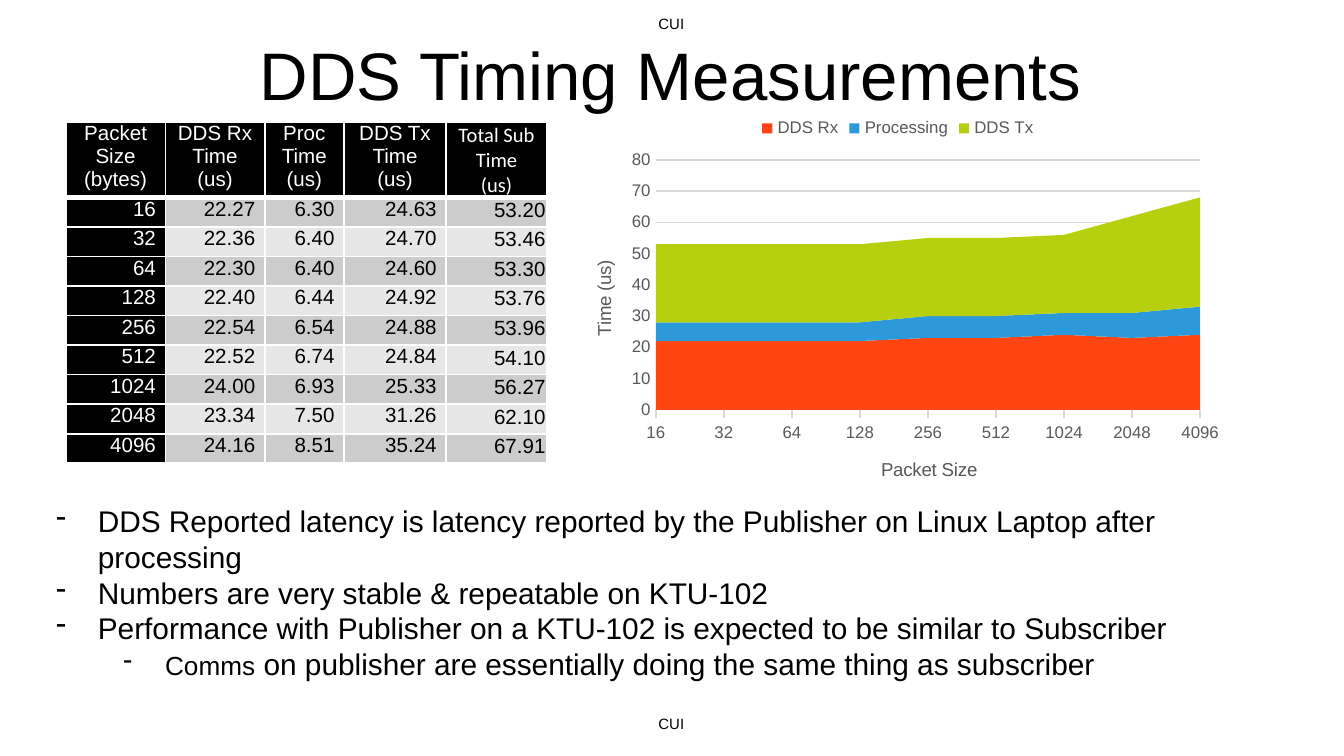
from dataclasses import dataclass

from lxml import etree
from pptx import Presentation
from pptx.chart.data import CategoryChartData
from pptx.dml.color import RGBColor
from pptx.enum import chart as ce, text
from pptx.oxml.ns import qn
from pptx.util import Inches, Pt

COLORS = {
    "black": "000000", "white": "FFFFFF", "band_dark": "CCCCCC", "band_light": "E7E7E7",
    "grid": "D9D9D9", "axis": "595959", "rx": "FF4612", "proc": "2C9ADA", "tx": "B6D00F",
}
FONT = "Arial"
ALIGN = text.PP_ALIGN


@dataclass
class Timing:
    size: int
    rx: float
    proc: float
    tx: float
    total: float


@dataclass
class Bullet:
    runs: list[tuple[str, int]]
    level: int = 0


@dataclass
class Series:
    name: str
    field: str


HEADERS = ["Packet Size (bytes)", "DDS Rx Time (us)", "Proc Time (us)",
           "DDS Tx Time (us)", "Total Sub Time\n(us)"]
COL_WIDTHS = [0.74, 0.74, 0.59, 0.76, 0.75]
TIMINGS = [
    Timing(16, 22.27, 6.30, 24.63, 53.20),
    Timing(32, 22.36, 6.40, 24.70, 53.46),
    Timing(64, 22.30, 6.40, 24.60, 53.30),
    Timing(128, 22.40, 6.44, 24.92, 53.76),
    Timing(256, 22.54, 6.54, 24.88, 53.96),
    Timing(512, 22.52, 6.74, 24.84, 54.10),
    Timing(1024, 24.00, 6.93, 25.33, 56.27),
    Timing(2048, 23.34, 7.50, 31.26, 62.10),
    Timing(4096, 24.16, 8.51, 35.24, 67.91),
]
SERIES = [Series("DDS Rx", "rx"), Series("Processing", "proc"), Series("DDS Tx", "tx")]
BULLETS = [
    Bullet([("DDS Reported latency is latency reported by the Publisher on Linux Laptop "
             "after processing", 16)]),
    Bullet([("Numbers are very stable & repeatable on KTU-102", 16)]),
    Bullet([("Performance with Publisher on a KTU-102 is expected to be similar to "
             "Subscriber", 16)]),
    Bullet([("Comms", 14), (" on publisher are essentially doing the same thing as "
                            "subscriber", 16)], level=1),
]


def rgb(name: str) -> RGBColor:
    return RGBColor.from_string(COLORS[name])


def style(font, size: float, color: str = "black", name: str = FONT) -> None:
    font.size, font.name, font.bold = Pt(size), name, False
    font.color.rgb = rgb(color)


def write(tf, content: str, *, size: float, color: str = "black", name: str = FONT,
          align=ALIGN.CENTER) -> None:
    """Fill a text frame, one paragraph per line of content."""
    for i, line in enumerate(content.split("\n")):
        p = tf.paragraphs[0] if i == 0 else tf.add_paragraph()
        p.alignment = align
        r = p.add_run()
        r.text = line
        style(r.font, size, color, name)


def add_marking(slide, top: float) -> None:
    sp = slide.shapes.add_textbox(Inches(4.8), Inches(top), Inches(0.39), Inches(0.24))
    sp.text_frame.word_wrap = False
    write(sp.text_frame, "CUI", size=8)


def set_borders(cell, bottom: float) -> None:
    tc_pr = cell._tc.get_or_add_tcPr()
    for i, (side, width) in enumerate([("L", 1), ("R", 1), ("T", 1), ("B", bottom)]):
        ln = etree.Element(qn(f"a:ln{side}"), w=str(Pt(width)))
        fill = etree.SubElement(ln, qn("a:solidFill"))
        etree.SubElement(fill, qn("a:srgbClr"), val=COLORS["white"])
        tc_pr.insert(i, ln)


def add_table(slide) -> None:
    rows = [HEADERS] + [
        [str(t.size)] + [f"{v:.2f}" for v in (t.rx, t.proc, t.tx, t.total)] for t in TIMINGS
    ]
    frame = slide.shapes.add_table(len(rows), len(HEADERS), Inches(0.49), Inches(0.91),
                                   Inches(sum(COL_WIDTHS)), Inches(2.53))
    table = frame.table
    for col, width in zip(table.columns, COL_WIDTHS):
        col.width = Inches(width)
    for i, values in enumerate(rows):
        table.rows[i].height = Inches(0.22 if i else 0.56)
        for j, value in enumerate(values):
            cell = table.cell(i, j)
            dark = i == 0 or j == 0
            total = j == len(HEADERS) - 1
            tight = total and i > 0
            cell.margin_left = cell.margin_right = Inches(0.01 if tight else 0.07)
            cell.margin_top, cell.margin_bottom = Inches(0.01 if tight else 0), 0
            cell.fill.solid()
            cell.fill.fore_color.rgb = rgb(
                "black" if dark else "band_dark" if i % 2 else "band_light")
            set_borders(cell, bottom=1 if i else 3)
            write(cell.text_frame, value, size=11, color="white" if dark else "black",
                  name="Calibri" if total and i == 0 else FONT,
                  align=ALIGN.RIGHT if i else ALIGN.CENTER)


def place(parent, index: int, **fractions: float) -> None:
    """Give a chart part a manual layout in fractions of the chart."""
    for old in parent.findall(qn("c:layout")):
        parent.remove(old)
    layout = etree.Element(qn("c:layout"))
    manual = etree.SubElement(layout, qn("c:manualLayout"))
    if "w" in fractions:
        etree.SubElement(manual, qn("c:layoutTarget"), val="inner")
    for key in ("x", "y"):
        etree.SubElement(manual, qn(f"c:{key}Mode"), val="edge")
    for key, value in fractions.items():
        etree.SubElement(manual, qn(f"c:{key}"), val=str(value))
    parent.insert(index, layout)


def format_axis(axis, title: str, x: float, y: float) -> None:
    write(axis.axis_title.text_frame, title, size=10, color="axis")
    place(axis.axis_title._element, 1, x=x, y=y)
    style(axis.tick_labels.font, 9, "axis")
    axis.minor_tick_mark = ce.XL_TICK_MARK.NONE


def add_chart(slide) -> None:
    data = CategoryChartData(number_format="0")
    data.categories = [str(t.size) for t in TIMINGS]
    for s in SERIES:
        data.add_series(s.name, [round(getattr(t, s.field)) for t in TIMINGS])
    chart = slide.shapes.add_chart(ce.XL_CHART_TYPE.AREA_STACKED, Inches(4.18), Inches(0.77),
                                   Inches(5), Inches(3), data).chart
    style(chart.font, 10)
    chart.has_title = False
    chart.has_legend = True
    chart.legend.position = ce.XL_LEGEND_POSITION.TOP
    chart.legend.include_in_layout = False
    style(chart.legend.font, 9, "axis")
    chart.plots[0].vary_by_categories = False
    for series, s in zip(chart.plots[0].series, SERIES):
        series.format.fill.solid()
        series.format.fill.fore_color.rgb = rgb(s.field)
        series.format.line.fill.background()

    cat, val = chart.category_axis, chart.value_axis
    format_axis(cat, "Packet Size", 0.47, 0.87)
    format_axis(val, "Time (us)", 0.04, 0.38)
    cat.has_major_gridlines = False
    cat.major_tick_mark = ce.XL_TICK_MARK.OUTSIDE
    val.major_tick_mark = ce.XL_TICK_MARK.NONE
    val.minimum_scale, val.maximum_scale, val.major_unit = 0, 80, 10
    val.has_major_gridlines = True
    val.format.line.fill.background()
    for line in (cat.format.line, val.major_gridlines.format.line):
        line.color.rgb, line.width = rgb("grid"), Pt(0.75)
    val._element.find(qn("c:crossBetween")).set("val", "midCat")
    place(chart._chartSpace.chart.plotArea, 0, x=0.14, y=0.14, w=0.81, h=0.62)


def add_bullets(slide) -> None:
    sp = slide.shapes.add_textbox(Inches(0.32), Inches(3.69), Inches(9.01), Inches(1.45))
    tf = sp.text_frame
    tf.word_wrap = True
    for i, bullet in enumerate(BULLETS):
        p = tf.paragraphs[0] if i == 0 else tf.add_paragraph()
        p.level = bullet.level
        p_pr = p._p.get_or_add_pPr()
        p_pr.set("marL", str(Inches(0.31 + 0.5 * bullet.level)))
        p_pr.set("indent", str(Inches(-0.31)))
        etree.SubElement(p_pr, qn("a:buChar"), char="-")
        for content, size in bullet.runs:
            r = p.add_run()
            r.text = content
            style(r.font, size)


def main() -> None:
    prs = Presentation()
    prs.slide_width, prs.slide_height = Inches(10), Inches(10 * 9 / 16)
    slide = prs.slides.add_slide(prs.slide_layouts[5])
    for top in (0.06, 5.27):
        add_marking(slide, top)
    title = slide.shapes.title
    title.left, title.top, title.width, title.height = map(Inches, (0.49, 0.08, 9, 0.94))
    title.text_frame.vertical_anchor = text.MSO_ANCHOR.MIDDLE
    write(title.text_frame, "DDS Timing Measurements", size=36)
    add_table(slide)
    add_bullets(slide)
    add_chart(slide)
    prs.save("out.pptx")


if __name__ == "__main__":
    main()
